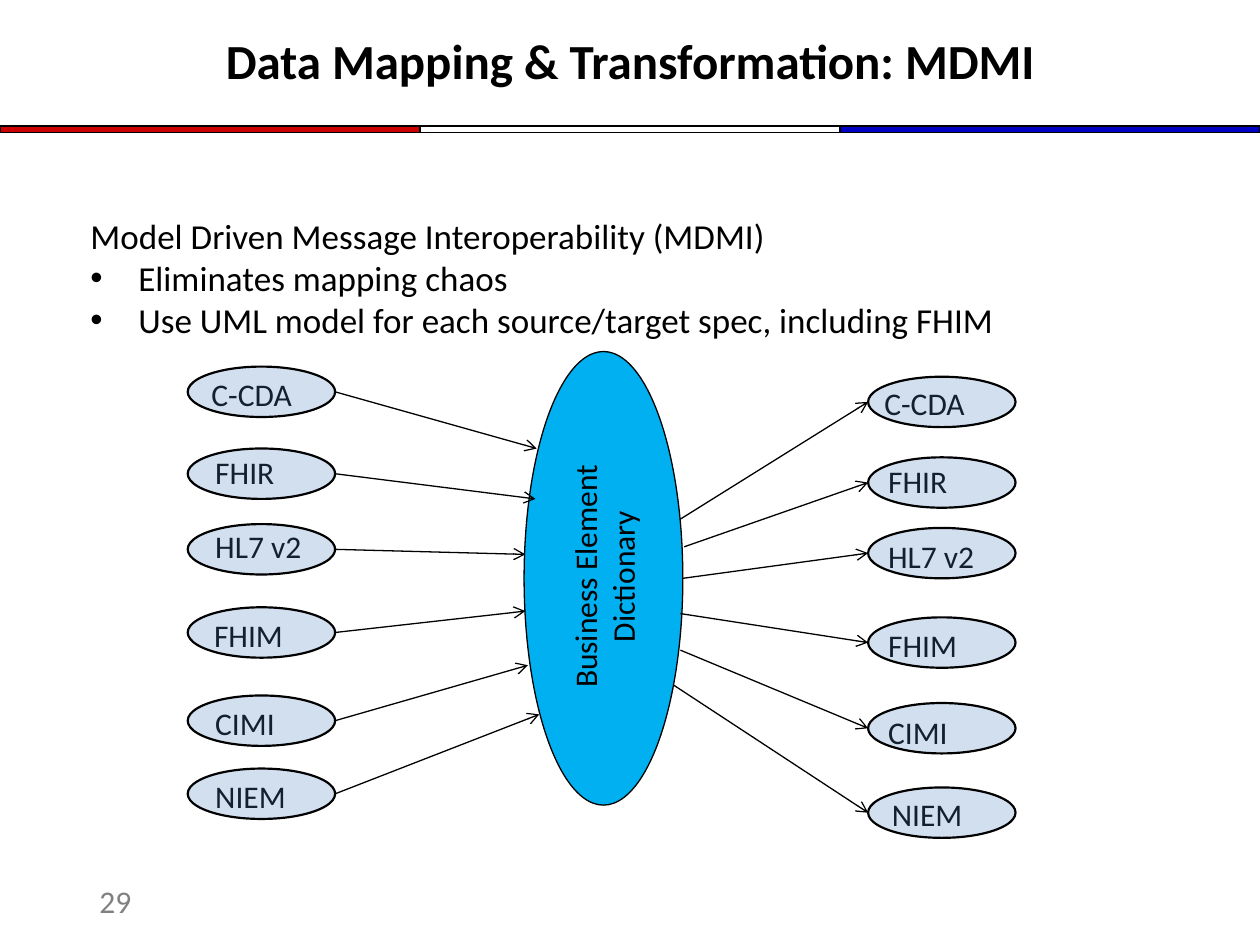
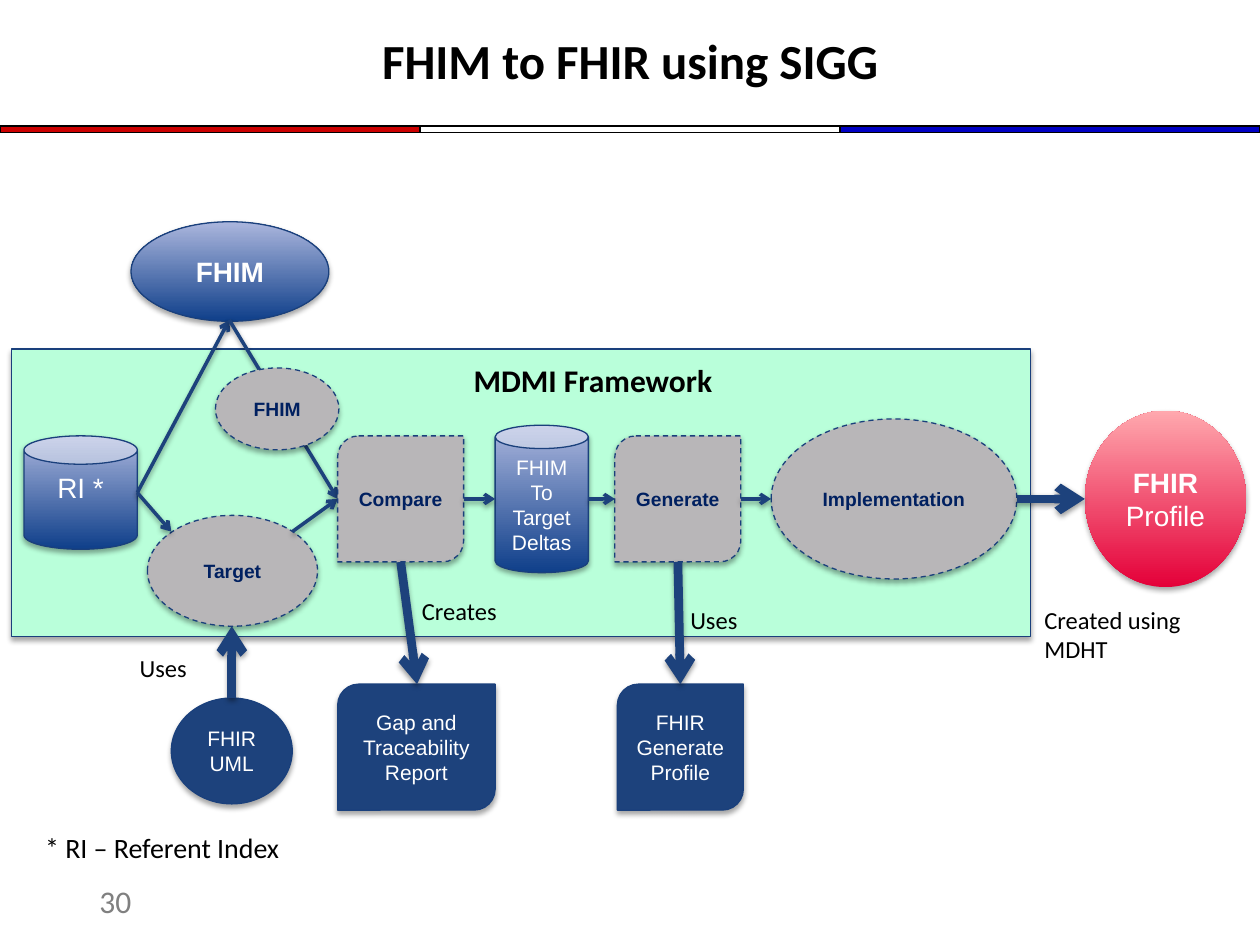
from dataclasses import dataclass
from typing import Any
from lxml import etree
from pptx import Presentation
from pptx.dml.color import RGBColor as RGB
from pptx.enum.dml import MSO_LINE as DASH
from pptx.enum.shapes import MSO_CONNECTOR as LINK, MSO_SHAPE as SHAPE
from pptx.enum.text import MSO_ANCHOR as ANCHOR, PP_ALIGN as ALIGN
from pptx.oxml.ns import qn
from pptx.util import Inches, Pt

WIDE, HIGH = Inches(10), Inches(7.5)
COLS, ROWS = 100, 75
CELL = WIDE // COLS

COLORS = {
    "black": "000000", "white": "FFFFFF", "page": "808080",
    "red": "CC0000", "royal": "0000C4", "sky": "00B0F0", "pale": "4F81BD",
    "mint": "B9FFDA", "edge": "1A407C", "navy": "1D427C", "grey": "B8B6B8",
    "ink": "002060", "deep": "0F3F8A", "light": "ABB6DD",
    "rose": "E40039", "pink": "FFA8AE",
}
BODY = {"name": "Calibri", "size": 18, "color": "black"}
NOTE = {**BODY, "size": 14}
WHITE = {"name": "Arial", "size": 12, "color": "white"}
HEAD = {**WHITE, "size": 16}
STEP = {"name": "Arial", "size": 11, "color": "ink", "bold": True}

# fill (one colour, or bottom and top of a gradient), edge, dashed, font
KINDS = {
    "store": (("deep", "light"), "edge", False, WHITE),
    "model": (("deep", "light"), "edge", False, {**HEAD, "bold": True}),
    "step": ("grey", "edge", True, STEP),
    "item": ("navy", "edge", False, WHITE),
    "goal": (("rose", "pink"), None, False, {**HEAD, "bold": True}),
    "frame": ("mint", "edge", False, BODY),
}

# name, oval row, label column and row, hub end of the arrow
SOURCES = [
    ("C-CDA", 1.2, 0.9, 1.4, (27.7, 7.7)),
    ("FHIR", 7.7, 1.2, 7.6, (27.6, 11.7)),
    ("HL7 v2", 13.7, 1.2, 13.4, (26.8, 16.1)),
    ("FHIM", 20.3, 1.1, 20.5, (26.8, 20.6)),
    ("CIMI", 27.3, 1.2, 27.5, (27, 24.9)),
    ("NIEM", 33.1, 1.2, 33.3, (27.9, 28.8)),
]
TARGETS = [
    ("C-CDA", 2, 0.3, 2.1, (-14.9, 13.3)),
    ("FHIR", 8.4, 0.6, 8.3, (-14.6, 15.5)),
    ("HL7 v2", 14, 0.6, 14.2, (-14.7, 18)),
    ("FHIM", 21.1, 0.6, 21.3, (-14.9, 20.8)),
    ("CIMI", 27.9, 0.6, 28.2, (-14.9, 23.7)),
    ("NIEM", 34.6, 0.9, 34.7, (-15.4, 26.5)),
]


def tint(name):
    return RGB.from_string(COLORS[name])


def sub(parent, tag, **attrs):
    return etree.SubElement(parent, qn(tag), {k: str(v) for k, v in attrs.items()})


def style(font, fmt):
    for key, value in fmt.items():
        if key == "color":
            font.color.rgb = tint(value)
        else:
            setattr(font, key, Pt(value) if key == "size" else value)


def write(frame, text, fmt, align=ALIGN.LEFT, anchor=ANCHOR.TOP):
    """Fill a text frame, one paragraph for each line of text."""
    frame.word_wrap = True
    frame.vertical_anchor = anchor
    for i, line in enumerate(text.split("\n")):
        para = frame.add_paragraph() if i else frame.paragraphs[0]
        para.alignment = align
        run = para.add_run()
        run.text = line
        style(run.font, fmt)


def bullet(para):
    props = para._p.get_or_add_pPr()
    props.set("marL", str(Inches(0.38)))
    props.set("indent", str(-Inches(0.38)))
    sub(props, "a:buFont", typeface="Arial")
    sub(props, "a:buChar", char="•")


def shade(effects, alpha, dist):
    drop = sub(effects, "a:outerShdw", blurRad=Pt(3.1), dist=Pt(dist),
               dir=90 * 60000, rotWithShape=0)
    sub(sub(drop, "a:srgbClr", val=COLORS["black"]), "a:alpha", val=alpha * 1000)


@dataclass
class Area:
    """A region of a slide, whose parts are placed in grid cells from its corner."""
    slide: Any
    x: float = 0
    y: float = 0

    def spot(self, x, y):
        return round((self.x + x) * CELL), round((self.y + y) * CELL)

    def text(self, box, text, fmt=BODY, align=ALIGN.LEFT):
        x, y, w, h = box
        part = self.slide.shapes.add_textbox(
            *self.spot(x, y), round(w * CELL), round(h * CELL))
        write(part.text_frame, text, fmt, align)
        return part

    def shape(self, form, box, fill, edge="black", weight=0.75):
        x, y, w, h = box
        part = self.slide.shapes.add_shape(
            form, *self.spot(x, y), round(w * CELL), round(h * CELL))
        part.shadow.inherit = False
        if isinstance(fill, tuple):
            part.fill.gradient()
            part.fill.gradient_angle = 90
            for stop, name in zip(part.fill.gradient_stops, fill):
                stop.color.rgb = tint(name)
        else:
            part.fill.solid()
            part.fill.fore_color.rgb = tint(fill)
        if edge:
            part.line.color.rgb = tint(edge)
            part.line.width = Pt(weight)
        else:
            part.line.fill.background()
        return part

    def node(self, kind, form, box, text="", anchor=ANCHOR.MIDDLE, **extra):
        """A shaded shape of one of the KINDS, with centred text."""
        fill, edge, dashed, fmt = KINDS[kind]
        part = self.shape(form, box, fill, edge)
        if dashed:
            part.line.dash_style = DASH.DASH
        shade(part._element.spPr.find(qn("a:effectLst")), 35, 1.8)
        if text:
            write(part.text_frame, text, {**fmt, **extra}, ALIGN.CENTER, anchor)
        return part

    def arrow(self, start, end, color="navy", weight=2, shaded=True):
        link = self.slide.shapes.add_connector(
            LINK.STRAIGHT, *self.spot(*start), *self.spot(*end))
        link.line.color.rgb = tint(color)
        link.line.width = Pt(weight)
        sub(link.line._get_or_add_ln(), "a:tailEnd", type="arrow")
        effects = sub(link._element.spPr, "a:effectLst")
        if shaded:
            shade(effects, 38, 1.6)


def base(deck, title, page):
    """A slide with its title, tricolour band and page number."""
    slide = deck.slides.add_slide(deck.slide_layouts[5])
    area = Area(slide)
    third = COLS / 3
    for i, color in enumerate(("red", "white", "royal")):
        area.shape(SHAPE.RECTANGLE, (i * third, 10, third, 0.5), color)
    head = slide.shapes.title
    head.left, head.top = area.spot(5, 0)
    head.width, head.height = 90 * CELL, round(9.5 * CELL)
    write(head.text_frame, title, {**BODY, "size": 28, "bold": True},
          ALIGN.CENTER, ANCHOR.MIDDLE)
    area.text((6.9, 69.5, 22.5, 4), page, {**BODY, "color": "page"})
    return slide


def intro(area):
    part = area.text((0, 0, 87.3, 11.1),
                     "Model Driven Message Interoperability (MDMI)\n"
                     "Eliminates mapping chaos\n"
                     "Use UML model for each source/target spec, including FHIM",
                     {**BODY, "size": 20})
    for para in part.text_frame.paragraphs[1:]:
        bullet(para)


def hub(area):
    area.shape(SHAPE.OVAL, (0, 0, 12.6, 36), "sky")
    label = area.text((-6.1, 14.3, 24.9, 7.1), "Business Element Dictionary",
                      align=ALIGN.CENTER)
    label.rotation = 270


def formats(area, rows, inward):
    """A column of formats, with arrows into the hub or out of it."""
    wide, high = 11.7, 4
    for name, top, x, y, far in rows:
        area.text((x, y, 15.1, 4), name)
        near = (wide if inward else 0, top + high / 2)
        ends = (near, far) if inward else (far, near)
        area.arrow(*ends, color="black", weight=0.75, shaded=False)
        oval = area.shape(SHAPE.OVAL, (0, top, wide, high), "pale", weight=1.25)
        color = oval._element.spPr.find(qn("a:solidFill"))[0]
        sub(color, "a:alpha", val=25000)


def models(area):
    """The referent index and the two models it points to."""
    area.node("store", SHAPE.CAN, (0, 17, 9, 9), "RI *", ANCHOR.TOP, size=16)
    area.node("step", SHAPE.OVAL, (9.8, 23.3, 13.5, 8.8), "Target")
    area.node("model", SHAPE.OVAL, (8.5, 0, 15.7, 7.9), "FHIM")
    index, top, compare = (9, 21.5), (16.3, 7.8), (24.9, 22)
    for start, end in ((index, top), (index, (11.7, 24.6)),
                       (top, compare), ((21.3, 24.6), compare)):
        area.arrow(start, end)
    area.node("step", SHAPE.OVAL, (15.2, 11.6, 9.8, 6.5), "FHIM")


def steps(area):
    """The row of steps from comparing to the finished profile."""
    mid = 6.3
    diag = SHAPE.ROUND_2_DIAG_RECTANGLE
    row = [
        ("step", diag, 0, 10, 10, "Compare"),
        ("store", SHAPE.CAN, 12.5, 7.4, 11.7, "FHIM\nTo\nTarget\nDeltas"),
        ("step", diag, 22, 10, 10, "Generate"),
        ("step", SHAPE.OVAL, 34.4, 19.5, 12.7, "Implementation"),
        ("goal", SHAPE.OVAL, 59.3, 12.8, 14, "FHIR"),
    ]
    for kind, form, x, w, h, text in row:
        part = area.node(kind, form, (x, mid - h / 2, w, h), text)
    run = part.text_frame.paragraphs[0].add_run()
    run.text = " Profile"
    style(run.font, {**HEAD, "bold": False})
    for here, after in zip(row, row[1:]):
        area.arrow((here[2] + here[3], mid), (after[2], mid),
                   weight=5 if after[0] == "goal" else 2)


def items(area):
    """The artefacts under the framework and their arrows."""
    diag = SHAPE.ROUND_2_DIAG_RECTANGLE
    area.node("item", SHAPE.OVAL, (0, 1.1, 9.6, 8.4), "FHIR\u0020UML")
    area.node("item", diag, (13.2, 0, 12.5, 10), "Gap and\nTraceability Report")
    area.node("item", diag, (35.4, 0, 10, 10), "FHIR\nGenerate\nProfile")
    for start, end in (((4.8, 1.1), (4.8, -4.6)),
                       ((18.2, -9.7), (19.5, 0)),
                       ((40.2, -9.7), (40.4, 0))):
        area.arrow(start, end, weight=5)
    for box, text in (((18.9, -7.5, 9.6, 3.4), "Creates"),
                      ((40.2, -6.8, 8.5, 3.4), "Uses"),
                      ((68.3, -6.8, 13.5, 5.7), "Created using MDHT"),
                      ((-3.5, -3, 8.5, 3.4), "Uses")):
        area.text(box, text, NOTE)


def mapping(deck):
    slide = base(deck, "Data Mapping & Transformation: MDMI", "29")
    intro(Area(slide, 6.2, 16.5))
    hub(Area(slide, 41.6, 27.9))
    formats(Area(slide, 14.9, 27.9), SOURCES, True)
    formats(Area(slide, 68.9, 27.9), TARGETS, False)


def profile(deck):
    slide = base(deck, "FHIM to FHIR using SIGG", "30")
    frame = Area(slide, 0.9, 27.7)
    frame.node("frame", SHAPE.RECTANGLE, (0, 0, 80.9, 22.8))
    frame.text((35.7, 0.5, 39.5, 4), "MDMI Framework", {**BODY, "bold": True})
    models(Area(slide, 1.9, 17.6))
    steps(Area(slide, 26.8, 33.3))
    items(Area(slide, 13.6, 54.3))
    Area(slide, 2.6, 65.4).text((0, 0, 23, 3.7), "* RI – Referent Index",
                                {**BODY, "size": 16})


def main():
    deck = Presentation()
    deck.slide_width, deck.slide_height = WIDE, HIGH
    mapping(deck)
    profile(deck)
    deck.save("out.pptx")


if __name__ == "__main__":
    main()
